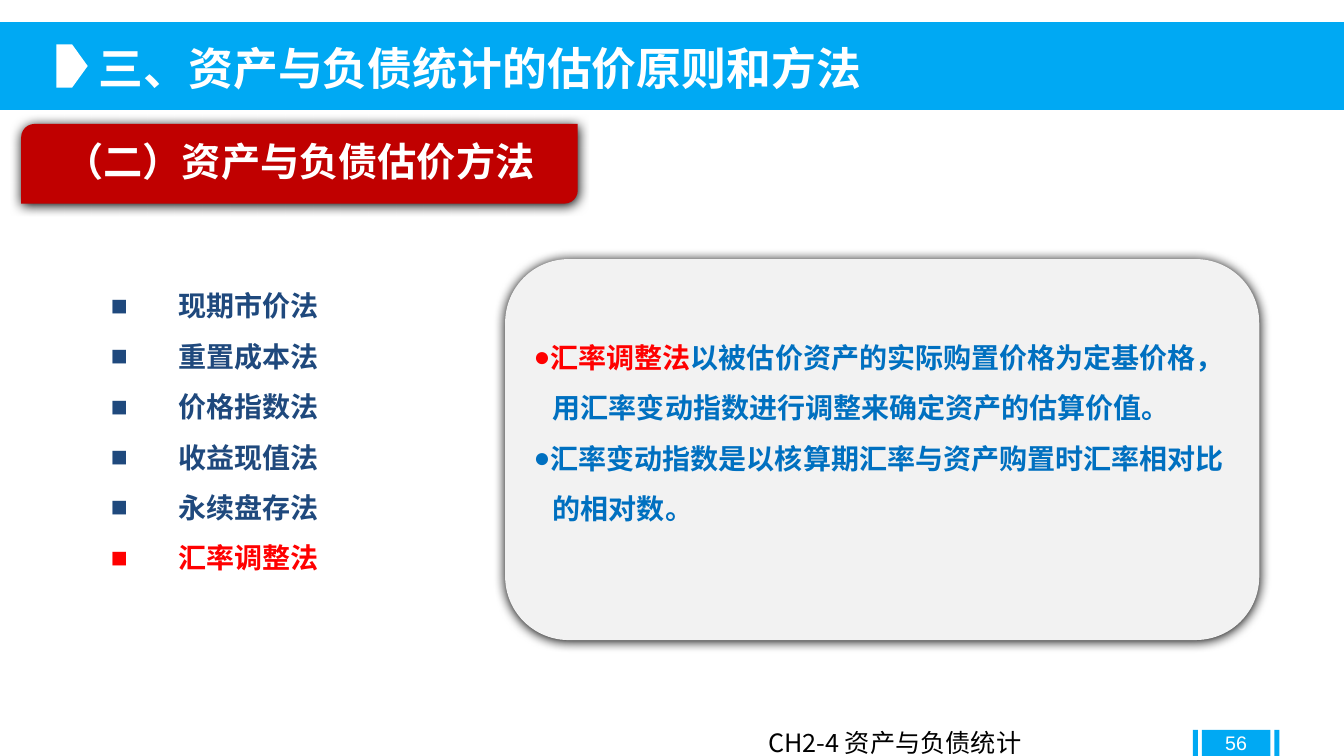
import pptx
import pptx.dml.color
import pptx.enum.shapes
import pptx.enum.text
import pptx.oxml
import pptx.oxml.ns
import pptx.util
from pptx.util import Inches

CJK = "Noto Sans CJK SC"
BLUE = "00A9F3"
WHITE = "FFFFFF"
RED = "FF0000"
NAVY = "1F497D"
TEXT_BLUE = "0070C0"
SHAPE = pptx.enum.shapes.MSO_SHAPE
ALIGN = pptx.enum.text.PP_ALIGN
ANCHOR = pptx.enum.text.MSO_ANCHOR
METHODS = ["现期市价法", "重置成本法", "价格指数法", "收益现值法", "永续盘存法", "汇率调整法"]
DEFINITION = [
    (True, [("汇率调整法", RED), ("以被估价资产的实际购置价格为定基价格，", TEXT_BLUE)]),
    (False, [("用汇率变动指数进行调整来确定资产的估算价值。", TEXT_BLUE)]),
    (True, [("汇率变动指数是以核算期汇率与资产购置时汇率相对比", TEXT_BLUE)]),
    (False, [("的相对数。", TEXT_BLUE)]),
]


def color(value):
    """Return the colour for a hex string."""
    return pptx.dml.color.RGBColor.from_string(value)


def add_xml(parent, tag, **attrs):
    """Append a DrawingML element and return it."""
    child = parent.makeelement(pptx.oxml.ns.qn(tag), attrs)
    parent.append(child)
    return child


def place(sp, box):
    """Move a shape to a box given in inches."""
    sp.left, sp.top, sp.width, sp.height = (Inches(v) for v in box)


def style(r, size, hex_color, bold=False, font=CJK):
    """Format one run in both Latin and East Asian script."""
    r.font.size = pptx.util.Pt(size)
    r.font.bold = bold
    r.font.color.rgb = color(hex_color)
    r.font.name = font
    add_xml(r.font._element, "a:ea", typeface=font)


def indent(p, left, first, bullet=None):
    """Set paragraph indents, an optional bullet and 1.5 line spacing."""
    pPr = p._p.get_or_add_pPr()
    pPr.set("marL", str(Inches(left)))
    pPr.set("indent", str(Inches(first)))
    if bullet:
        add_xml(pPr, "a:buFont", typeface="Arial")
        add_xml(pPr, "a:buChar", char=bullet)
    p.line_spacing = 1.5


def add_block(s, kind, box, fill, shadow=False):
    """Add a borderless filled shape, with a soft shadow if asked."""
    sp = s.shapes.add_shape(kind, *(Inches(v) for v in box))
    sp.shadow.inherit = False
    sp.fill.solid()
    sp.fill.fore_color.rgb = color(fill)
    sp.line.fill.background()
    if shadow:
        effects = sp._element.spPr.find(pptx.oxml.ns.qn("a:effectLst"))
        outer = add_xml(effects, "a:outerShdw", blurRad=str(pptx.util.Pt(8.5)),
                        dist=str(pptx.util.Pt(1)), dir="5400000", algn="t", rotWithShape="0")
        add_xml(outer, "a:srgbClr", val="000000")
    return sp


def add_label(s, box, text, size, hex_color, font=CJK):
    """Add a one-line text box and return its text frame."""
    tf = s.shapes.add_textbox(*(Inches(v) for v in box)).text_frame
    tf.word_wrap = True
    tf.text = text
    style(tf.paragraphs[0].runs[0], size, hex_color, font=font)
    return tf


def add_header(s, box, text):
    """Fill the title band with its marker and title."""
    x, y, w, h = box
    band = add_block(s, SHAPE.RECTANGLE, box, BLUE)
    band._element.getparent().insert(2, band._element)
    add_block(s, SHAPE.PENTAGON, (x + 0.56, y + 0.22, 0.31, 0.43), WHITE)
    title = s.shapes.title
    place(title, (x + 0.88, y + 0.13, 7.83, 0.64))
    tf = title.text_frame
    tf.text = text
    tf.word_wrap = False
    tf.auto_size = pptx.enum.text.MSO_AUTO_SIZE.NONE
    tf.vertical_anchor = ANCHOR.TOP
    p = tf.paragraphs[0]
    p.alignment = ALIGN.LEFT
    style(p.runs[0], 32, WHITE, True)


def add_section(s, box, text):
    """Add the red section heading."""
    tf = add_block(s, SHAPE.ROUND_2_DIAG_RECTANGLE, box, "C00000", True).text_frame
    tf.margin_left = tf.margin_right = Inches(0.31)
    tf.margin_top = tf.margin_bottom = Inches(0.12)
    tf.vertical_anchor = ANCHOR.MIDDLE
    tf.text = text
    p = tf.paragraphs[0]
    p.alignment = ALIGN.CENTER
    p.line_spacing = 0.9
    p.space_after = pptx.util.Pt(10)
    style(p.runs[0], 28, WHITE, True)


def add_methods(s, box, methods):
    """List the methods, with the last one highlighted."""
    body = s.placeholders[1]
    place(body, box)
    tf = body.text_frame
    tf.text = "\n".join(methods)
    tf.auto_size = pptx.enum.text.MSO_AUTO_SIZE.NONE
    for p in tf.paragraphs:
        indent(p, 0.67, -0.67, "■")
        p.space_before = pptx.util.Pt(0)
        style(p.runs[0], 20, RED if p.text == methods[-1] else NAVY, True)


def add_definition(s, box, lines):
    """Add the rounded panel that explains the highlighted method."""
    sp = add_block(s, SHAPE.ROUNDED_RECTANGLE, box, "F2F2F2", True)
    sp.adjustments[0] = 0.167
    tf = sp.text_frame
    tf.word_wrap = False
    tf.vertical_anchor = ANCHOR.MIDDLE
    tf.margin_bottom = Inches(0.55)
    for i, (bulleted, parts) in enumerate(lines):
        p = tf.add_paragraph() if i else tf.paragraphs[0]
        p.alignment = ALIGN.LEFT
        indent(p, 0, 0 if bulleted else 0.19, "●" if bulleted else None)
        for text, hex_color in parts:
            r = p.add_run()
            r.text = text
            style(r, 20, hex_color, True)


def add_footer(s, box, text, number):
    """Add the chapter label and the page number between two bars."""
    x, y, w, h = box
    for left, width in ((4.4, 0.68), (5.12, 0.05), (4.31, 0.05)):
        add_block(s, SHAPE.RECTANGLE, (x + left, y + 0.07, width, 0.27), BLUE)
    add_label(s, (x, y, 4.29, h), text, 18, "000000")
    tf = add_label(s, (x + 4.4, y, 0.68, h), number, 14, WHITE, "Arial")
    tf.vertical_anchor = ANCHOR.MIDDLE
    tf.paragraphs[0].alignment = ALIGN.CENTER


def main():
    """Build and save the slide."""
    prs = pptx.Presentation()
    prs.slide_width, prs.slide_height = Inches(13.33), Inches(7.5)
    s = prs.slides.add_slide(prs.slide_layouts[1])
    add_header(s, (0, 0.22, 13.33, 0.87), "三、资产与负债统计的估价原则和方法")
    add_methods(s, (1, 2.65, 3.8, 3.13), METHODS)
    add_footer(s, (7.52, 7.17, 5.17, 0.4), "CH2-4 资产与负债统计", "56")
    add_definition(s, (5.01, 2.57, 7.48, 3.78), DEFINITION)
    add_section(s, (0.21, 1.23, 5.52, 0.79), "（二）资产与负债估价方法")
    prs.save("out.pptx")


if __name__ == "__main__":
    main()
